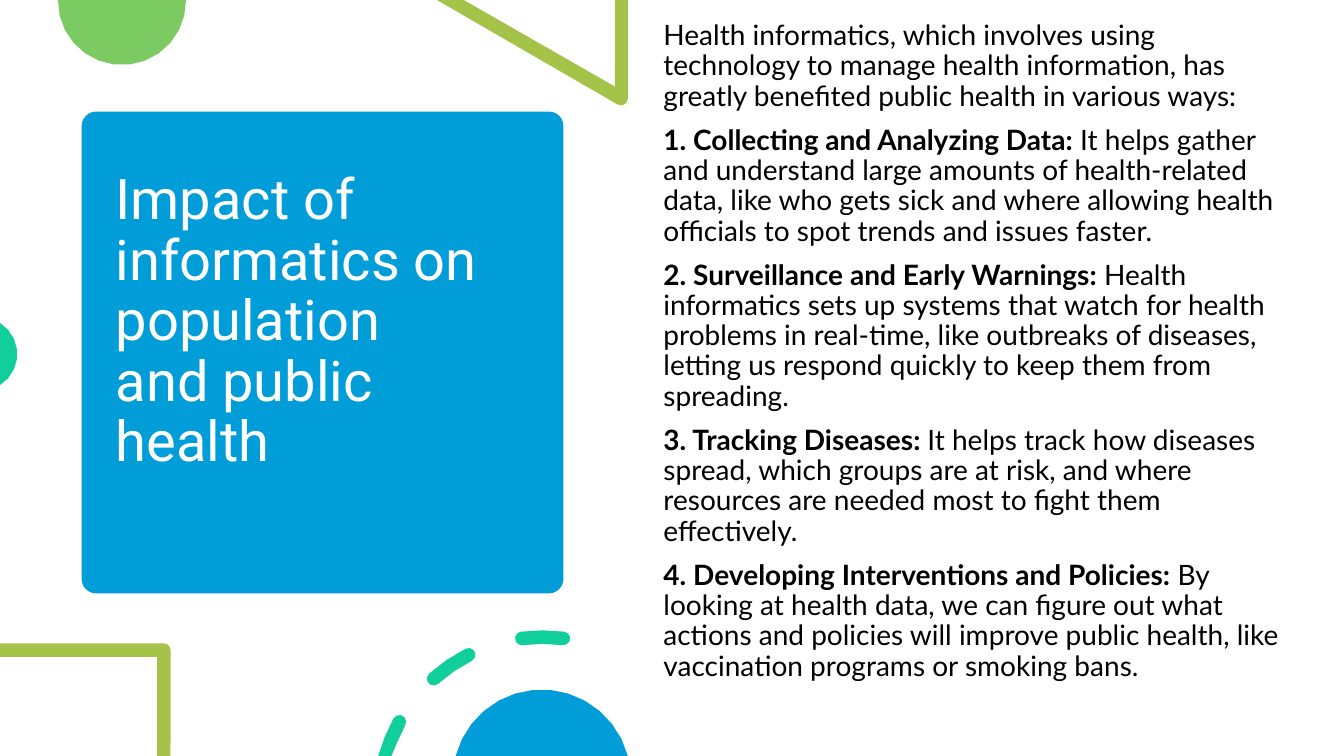
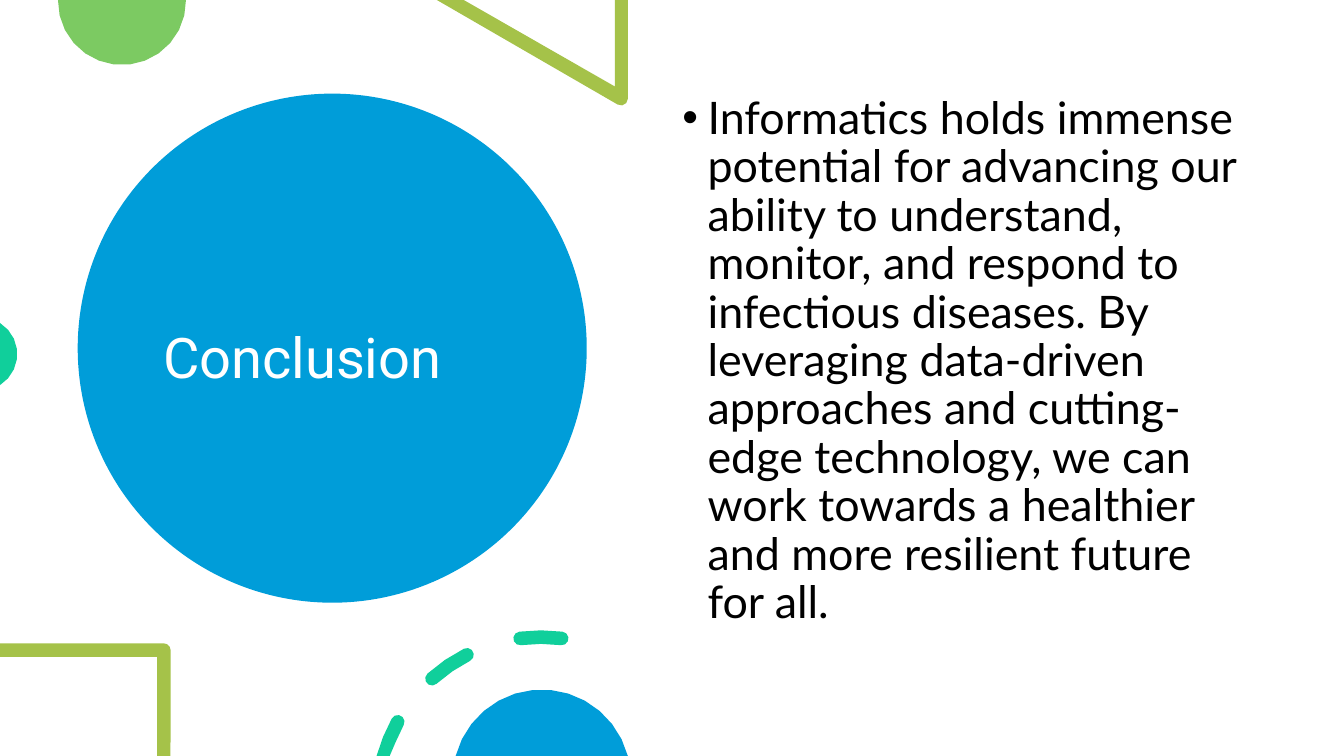
from math import acos, ceil, cos, degrees, radians, sin

from lxml.etree import SubElement
from pptx import Presentation
from pptx.dml.color import RGBColor
from pptx.enum.shapes import MSO_SHAPE
from pptx.enum.text import MSO_ANCHOR
from pptx.oxml.ns import qn
from pptx.util import Inches, Pt

COLUMNS, ROWS = 160, 90
CELL = Inches(7.5) / ROWS
ARC_TOLERANCE = 0.06

WHITE = RGBColor(0xFF, 0xFF, 0xFF)
BLACK = RGBColor(0x00, 0x00, 0x00)
BLUE = RGBColor(0x00, 0x9D, 0xD9)
TEAL = RGBColor(0x10, 0xCF, 0x9B)
GREEN = RGBColor(0x7C, 0xCA, 0x62)
OLIVE = RGBColor(0xA5, 0xC2, 0x49)

TITLE_FONT, BODY_FONT = "Roboto", "Lato"
HALF_STROKE = 0.81
DASH_RADIUS = 19.45
DASH_ANGLES = [(195, 208.8), (228.2, 243.1), (262.7, 277.3)]

IMPACTS = [
    ("", "Health informatics, which involves using technology to manage health "
         "information, has greatly benefited public health in various ways:"),
    ("1. Collecting and Analyzing Data:",
     " It helps gather and understand large amounts of health-related data, like who "
     "gets sick and where allowing health officials to spot trends and issues faster."),
    ("2. Surveillance and Early Warnings:",
     " Health informatics sets up systems that watch for health problems in real-time, "
     "like outbreaks of diseases, letting us respond quickly to keep them from spreading."),
    ("3. Tracking Diseases: ",
     "It helps track how diseases spread, which groups are at risk, and where resources "
     "are needed most to fight them effectively."),
    ("4. Developing Interventions and Policies:",
     " By looking at health data, we can figure out what actions and policies will "
     "improve public health, like vaccination programs or smoking bans."),
]
CONCLUSION = [
    ("", "Informatics holds immense potential for advancing our ability to understand, "
         "monitor, and respond to infectious diseases. By leveraging data-driven approaches "
         "and cutting-edge technology, we can work towards a healthier and more resilient "
         "future for all."),
]


def cells(*counts):
    return [round(count * CELL) for count in counts]


def on_circle(x, y, radius, angle):
    return x + radius * cos(radians(angle)), y + radius * sin(radians(angle))


def arc(x, y, radius, start, end):
    widest = 2 * degrees(acos(1 - ARC_TOLERANCE / radius))
    steps = ceil(abs(end - start) / widest)
    return [on_circle(x, y, radius, start + (end - start) * i / steps)
            for i in range(steps + 1)]


def paint(shape, color):
    shape.shadow.inherit = False
    shape.fill.solid()
    shape.fill.fore_color.rgb = color
    shape.line.fill.background()


def on_slide(points):
    return [cells(max(x, 0), min(max(y, 0), ROWS)) for x, y in points]


def add_outline(slide, color, *contours):
    first, *others = [on_slide(contour) for contour in contours]
    builder = slide.shapes.build_freeform(*first[0])
    builder.add_line_segments(first[1:], close=True)
    for contour in others:
        builder.move_to(*contour[0])
        builder.add_line_segments(contour[1:], close=True)
    paint(builder.convert_to_shape(), color)


def dash(x, y, start, end):
    tail = on_circle(x, y, DASH_RADIUS, start)
    head = on_circle(x, y, DASH_RADIUS, end)
    return (arc(x, y, DASH_RADIUS + HALF_STROKE, start, end)
            + arc(*head, HALF_STROKE, end, end + 180)[1:-1]
            + arc(x, y, DASH_RADIUS - HALF_STROKE, end, start)
            + arc(*tail, HALF_STROKE, start + 180, start + 360)[1:-1])


def add_decor(slide, dash_center):
    add_outline(slide, GREEN, arc(14.52, 0.12, 7.62, -1, 181))
    triangle = [(74.75, 0), (73.2, 0), (73.2, 10.3), (55.2, 0), (52, 0)]
    add_outline(slide, OLIVE, triangle + arc(73.94, 11.75, HALF_STROKE, 120, 0))
    add_outline(slide, TEAL, arc(-2.3, 42.15, 4.36, -58, 58))
    frame = [(0, 76.6), (0, 78.2), (18.7, 78.2), (18.7, ROWS), (20.3, ROWS)]
    add_outline(slide, OLIVE, frame + arc(19.5, 77.4, HALF_STROKE, 0, -90))
    add_outline(slide, TEAL, *[dash(dash_center, 95.3, *span) for span in DASH_ANGLES])
    add_outline(slide, BLUE, arc(64.5, 92.69, 10.6, 194.7, 345.3))


def add_card(slide, preset, left, top, side):
    card = slide.shapes.add_shape(preset, *cells(left, top, side, side))
    paint(card, BLUE)
    return card


def add_frame(slide, area, anchor):
    frame = slide.shapes.add_textbox(*cells(*area)).text_frame
    frame.word_wrap = True
    frame.vertical_anchor = anchor
    return frame


def add_run(paragraph, text, font, size, color, bold=False):
    run = paragraph.add_run()
    run.text = text
    run.font.name = font
    run.font.size = Pt(size)
    run.font.bold = bold
    run.font.color.rgb = color


def add_title(slide, area, text):
    frame = add_frame(slide, area, MSO_ANCHOR.MIDDLE)
    heading = frame.paragraphs[0]
    heading.line_spacing = 0.9
    add_run(heading, text, TITLE_FONT, 40, WHITE)
    return frame


def add_bullet(paragraph):
    properties = paragraph._p.get_or_add_pPr()
    properties.set("marL", str(Inches(0.25)))
    properties.set("indent", str(-Inches(0.25)))
    SubElement(properties, qn("a:buFont")).set("typeface", "Arial")
    SubElement(properties, qn("a:buChar")).set("char", "•")


def add_body(slide, area, points, size, bulleted=False):
    frame = add_frame(slide, area, MSO_ANCHOR.TOP)
    for i, (lead, detail) in enumerate(points):
        paragraph = frame.add_paragraph() if i else frame.paragraphs[0]
        paragraph.line_spacing = 0.9
        paragraph.space_before = Pt(10)
        if bulleted:
            add_bullet(paragraph)
        if lead:
            add_run(paragraph, lead, BODY_FONT, size, BLACK, True)
        add_run(paragraph, detail, BODY_FONT, size, BLACK)


def add_slide(deck, dash_center):
    slide = deck.slides.add_slide(deck.slide_layouts[6])
    slide.background.fill.solid()
    slide.background.fill.fore_color.rgb = WHITE
    add_decor(slide, dash_center)
    return slide


def main():
    deck = Presentation()
    deck.slide_width, deck.slide_height = cells(COLUMNS, ROWS)

    impact = add_slide(deck, 64.6)
    card = add_card(impact, MSO_SHAPE.ROUNDED_RECTANGLE, 9.72, 13.28, 57.36)
    card.adjustments[0] = 0.03
    title = add_title(impact, (12.6, 14.65, 51.7, 54.7),
                      "Impact of informatics on population and public health")
    title.margin_right, title.margin_bottom = cells(7.2, 7.8)
    add_body(impact, (77.8, 1.95, 77.9, 86.3), IMPACTS, 20)

    conclusion = add_slide(deck, 64.4)
    add_card(conclusion, MSO_SHAPE.OVAL, 9.25, 11.15, 60.6)
    add_title(conclusion, (18.25, 16.2, 42.5, 53.4), "Conclusion")
    add_body(conclusion, (80.05, 10.8, 69, 64.2), CONCLUSION, 32, bulleted=True)

    deck.save("out.pptx")


if __name__ == "__main__":
    main()
